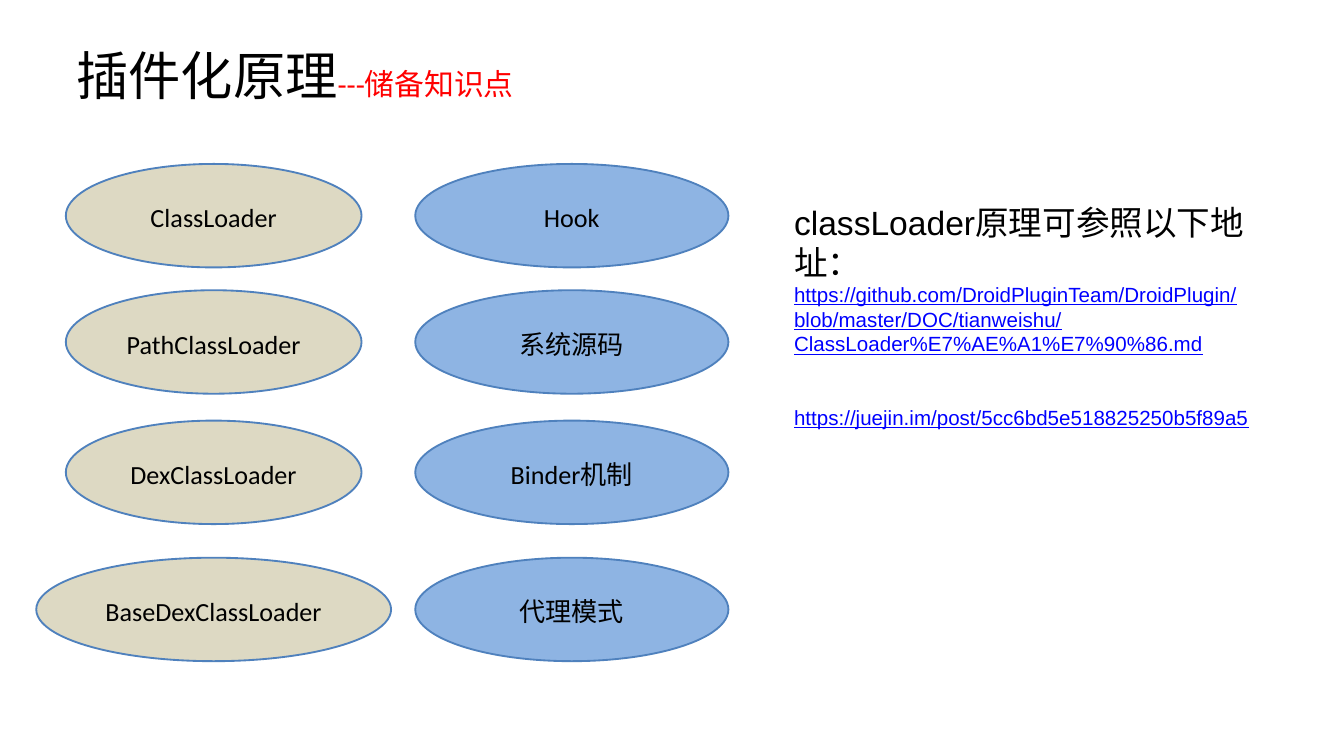
from dataclasses import dataclass

from pptx import Presentation
from pptx.dml.color import RGBColor
from pptx.enum.shapes import MSO_SHAPE
from pptx.enum.text import MSO_ANCHOR, PP_ALIGN
from pptx.util import Inches, Pt

ELLIPSE = MSO_SHAPE.OVAL
MIDDLE, TOP = MSO_ANCHOR.MIDDLE, MSO_ANCHOR.TOP
LEFT, CENTER = PP_ALIGN.LEFT, PP_ALIGN.CENTER


@dataclass(frozen=True)
class Theme:
    heading_font: str = "Calibri"
    body_font: str = "Arial"
    ink: str = "000000"
    accent: str = "FF0000"
    link: str = "0000FF"
    outline: str = "4F81BD"
    loader_fill: str = "DDD9C3"
    topic_fill: str = "8EB4E3"
    title_size: int = 28
    subtitle_size: int = 16
    topic_size: int = 14
    intro_size: int = 18
    link_size: int = 11


theme = Theme()


def add_run(paragraph, text, font, size, color):
    run = paragraph.add_run()
    run.text = text
    run.font.name = font
    run.font.size = Pt(size)
    run.font.color.rgb = RGBColor.from_string(color)
    return run


prs = Presentation()
prs.slide_width = Inches(10)
prs.slide_height = Inches(10 * 9 / 16)
slide = prs.slides.add_slide(prs.slide_layouts[5])

title = slide.shapes.title
title.left, title.top = Inches(0.47), Inches(0.27)
title.width, title.height = Inches(9.03), Inches(0.57)
title.text_frame.vertical_anchor = MIDDLE
heading = title.text_frame.paragraphs[0]
heading.alignment = LEFT
add_run(heading, "插件化原理", theme.heading_font, theme.title_size, theme.ink)
add_run(heading, "---储备知识点", theme.heading_font, theme.subtitle_size, theme.accent)

row_tops = [1.22, 2.16, 3.13, 4.15]
row_height = 0.77
columns = [
    (3.09 + 2.33 / 2, theme.topic_fill,
     [("Hook", 2.33), ("系统源码", 2.33), ("Binder机制", 2.33), ("代理模式", 2.33)]),
    (0.49 + 2.2 / 2, theme.loader_fill,
     [("ClassLoader", 2.2), ("PathClassLoader", 2.2),
      ("DexClassLoader", 2.2), ("BaseDexClassLoader", 2.64)]),
]
for center, fill, topics in columns:
    for top, (label, width) in zip(row_tops, topics):
        bubble = slide.shapes.add_shape(
            ELLIPSE, Inches(center - width / 2), Inches(top),
            Inches(width), Inches(row_height))
        bubble.shadow.inherit = False
        bubble.fill.solid()
        bubble.fill.fore_color.rgb = RGBColor.from_string(fill)
        bubble.line.color.rgb = RGBColor.from_string(theme.outline)
        bubble.line.width = Pt(1)
        bubble.text_frame.vertical_anchor = MIDDLE
        bubble.text_frame.margin_top = Inches(0)
        bubble.text_frame.margin_bottom = Inches(0.09)
        caption = bubble.text_frame.paragraphs[0]
        caption.alignment = CENTER
        caption.line_spacing = 1.5
        add_run(caption, label, theme.heading_font, theme.topic_size, theme.ink)

references = slide.shapes.add_textbox(
    Inches(5.81), Inches(1.45), Inches(3.91), Inches(1.51)).text_frame
references.word_wrap = True
references.vertical_anchor = TOP
intro = references.paragraphs[0]
intro.alignment = LEFT
intro._p.get_or_add_pPr().set("hangingPunct", "0")
add_run(intro, "classLoader原理可参照以下地址：",
        theme.body_font, theme.intro_size, theme.ink)

addresses = [
    ("https://github.com/DroidPluginTeam/DroidPlugin/blob/master/DOC/tianweishu/"
     "ClassLoader%E7%AE%A1%E7%90%86.md", 0),
    ("https://juejin.im/post/5cc6bd5e518825250b5f89a5", 26),
]
for address, gap in addresses:
    entry = references.add_paragraph()
    entry.space_before = Pt(gap)
    address_run = add_run(entry, address, theme.body_font, theme.link_size, theme.link)
    address_run.font.underline = True

prs.save("out.pptx")
